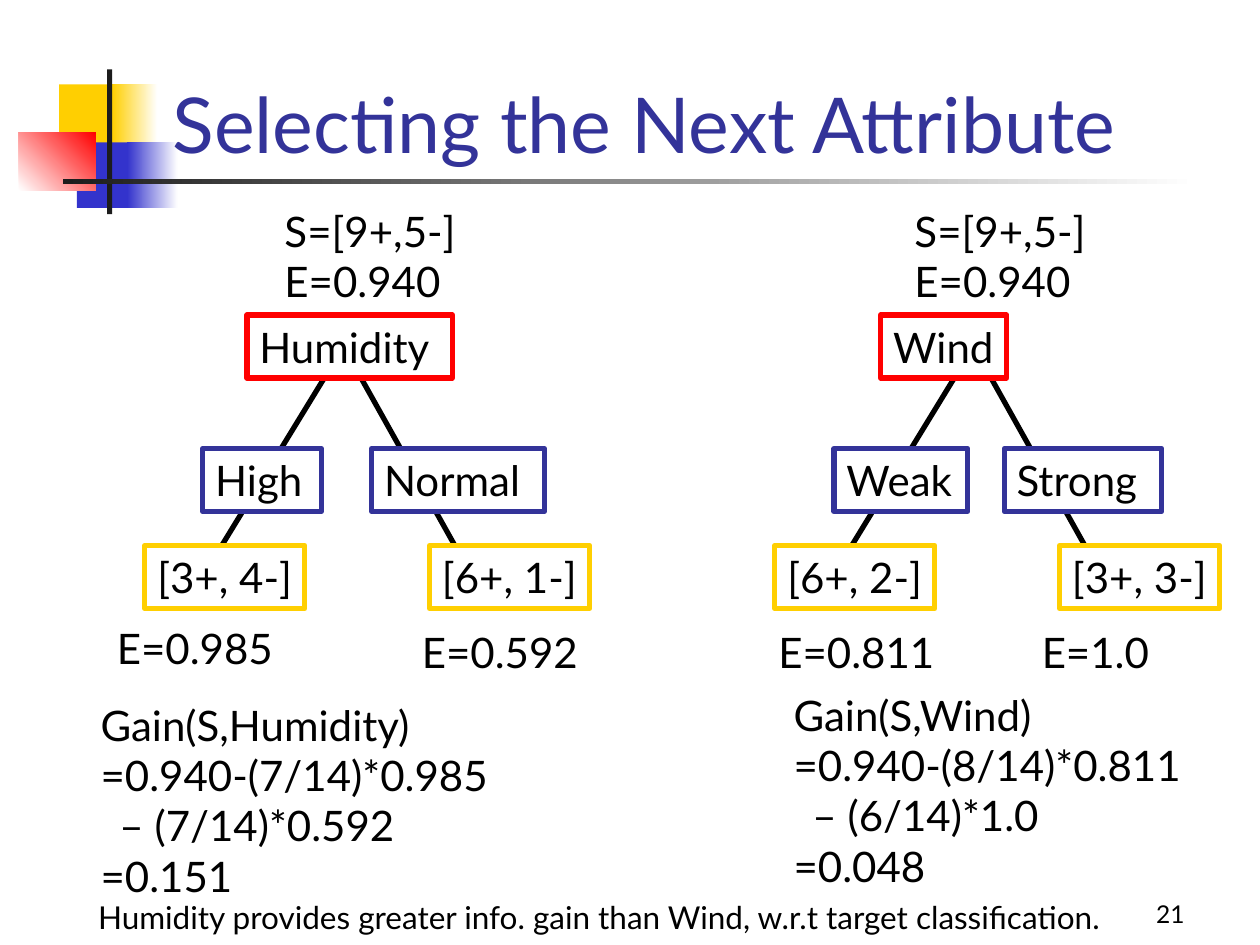
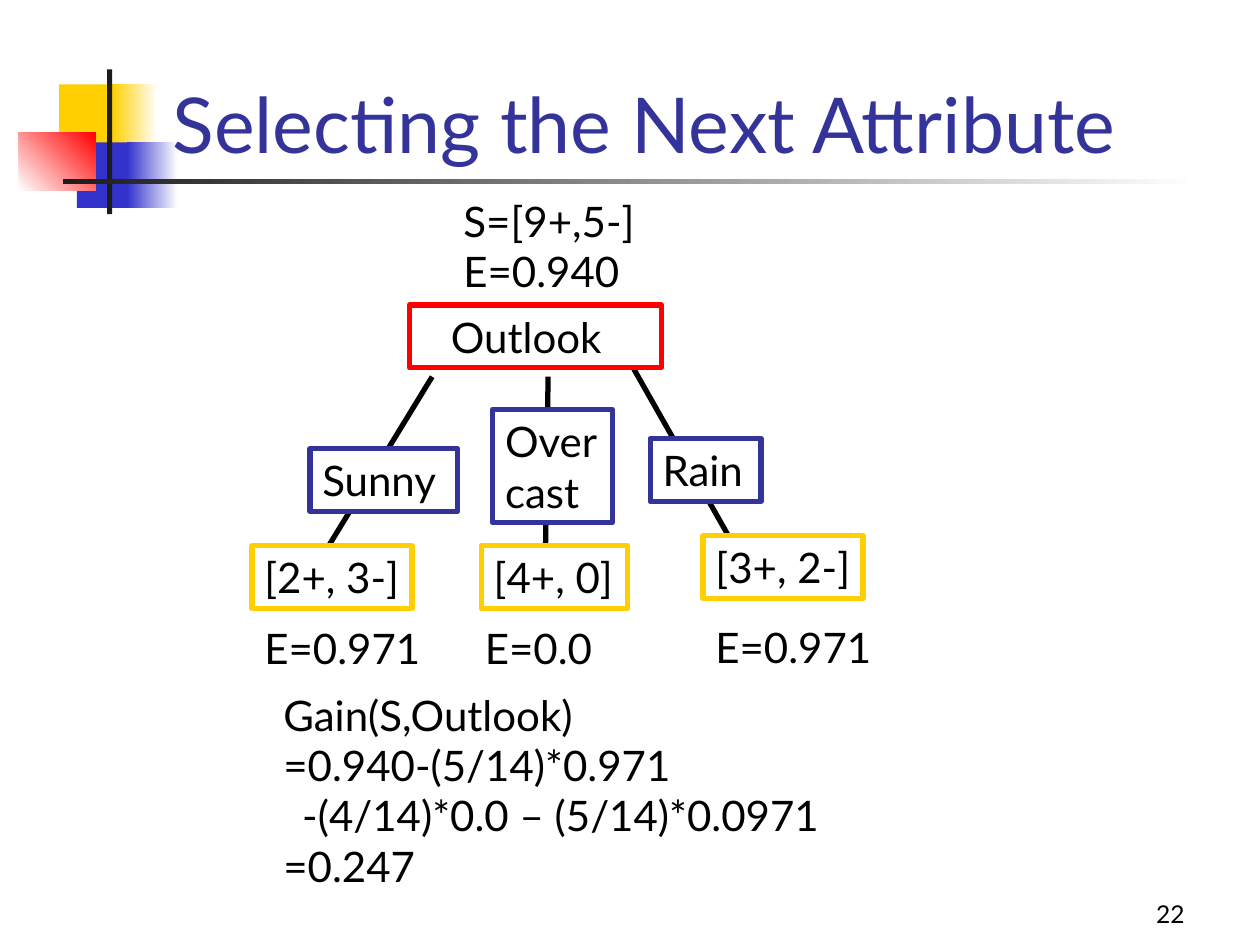
from dataclasses import dataclass

from lxml.etree import SubElement
from pptx import Presentation
from pptx.dml.color import RGBColor as Rgb
from pptx.enum.shapes import MSO_CONNECTOR as Connector, MSO_SHAPE as Shape
from pptx.enum.text import MSO_ANCHOR as Anchor, PP_ALIGN as Align
from pptx.oxml.ns import qn
from pptx.util import Inches, Pt


@dataclass(frozen=True)
class Theme:
    font: str = "Lato"
    title_size: int = 44
    body_size: int = 24
    note_size: int = 18
    number_size: int = 14
    outline: int = 3
    ink: str = "000000"
    paper: str = "FFFFFF"
    title: str = "333399"
    root: str = "FF0000"
    value: str = "333399"
    counts: str = "FFCF01"
    blue: str = "3333CC"
    bar: str = "1C1C1C"


@dataclass(frozen=True)
class Branch:
    start: float
    lean: float
    value: tuple
    value_left: float
    value_width: float
    counts: str
    counts_left: float
    entropy: str
    entropy_left: float
    entropy_top: float = 33.4
    tight: bool = False
    drop: float = 0
    value_top: float = 19.8
    value_height: float = 5
    counts_width: float = 12.7


THEME = Theme()
WIDTH, HEIGHT = Inches(10), Inches(7.5)
COLUMN, ROW = WIDTH / 100, HEIGHT / 75


def grid(left, top, width, height):
    return [round(n * unit) for n, unit in
            zip((left, top, width, height), (COLUMN, ROW, COLUMN, ROW))]


def color(name):
    return Rgb.from_string(name)


def write(shape, lines, size=THEME.body_size, ink=THEME.ink, align=Align.LEFT,
          anchor=Anchor.TOP, indents=None, spacing=None, right_inset=0):
    frame = shape.text_frame
    frame.word_wrap = True
    frame.vertical_anchor = anchor
    frame.margin_left = Inches(0.1)
    frame.margin_right = Inches(right_inset)
    frame.margin_top = frame.margin_bottom = Inches(0.05)
    for index, line in enumerate(lines):
        paragraph = frame.paragraphs[0] if index == 0 else frame.add_paragraph()
        paragraph.text = line
        paragraph.alignment = align
        paragraph.line_spacing = spacing
        paragraph.font.name = THEME.font
        paragraph.font.size = Pt(size)
        paragraph.font.color.rgb = color(ink)
        if indents and index in indents:
            margin = round(indents[index] * COLUMN)
            paragraph._p.get_or_add_pPr().set("marL", str(margin))


def add_text(slide, box, lines, **style):
    write(slide.shapes.add_textbox(*grid(*box)), lines, **style)


def add_block(slide, box):
    block = slide.shapes.add_shape(Shape.RECTANGLE, *grid(*box))
    block.shadow.inherit = False
    return block


def add_node(slide, box, lines, outline, indents=None):
    node = add_block(slide, box)
    node.fill.solid()
    node.fill.fore_color.rgb = color(THEME.paper)
    node.line.color.rgb = color(outline)
    node.line.width = Pt(THEME.outline)
    write(node, lines, indents=indents)


def add_edge(slide, left, top, width, height):
    x1, y1, x2, y2 = grid(left, top, left + width, top + height)
    edge = slide.shapes.add_connector(Connector.STRAIGHT, x1, y1, x2, y2)
    edge.line.color.rgb = color(THEME.ink)
    edge.line.width = Pt(THEME.outline)
    SubElement(edge._element.spPr, qn("a:effectLst"))


def add_emblem(slide):
    for box, colors, angle in (
        ((4.7, 6.7, 4.8, 5.2), (THEME.counts,), 0),
        ((8.9, 6.7, 3.6, 5.2), (THEME.counts, THEME.paper), 0),
        ((6.1, 11.3, 4.6, 5.2), (THEME.blue,), 0),
        ((10.1, 11.3, 4, 5.2), (THEME.blue, THEME.paper), 0),
        ((1.5, 10.5, 6.1, 4.6), (THEME.paper, THEME.root), 45),
        ((8.5, 5.5, 0.4, 11.5), (THEME.bar,), 0),
        ((5, 14.2, 90, 0.4), (THEME.bar, THEME.paper), 0),
    ):
        block = add_block(slide, box)
        block.line.fill.background()
        if len(colors) == 1:
            block.fill.solid()
            block.fill.fore_color.rgb = color(colors[0])
        else:
            block.fill.gradient()
            block.fill.gradient_angle = angle
            for stop, name in zip(block.fill.gradient_stops, colors):
                stop.color.rgb = color(name)


def add_page(deck, number):
    slide = deck.slides.add_slide(deck.slide_layouts[6])
    add_emblem(slide)
    add_text(slide, (74.2, 69.2, 20.8, 5), [str(number)], size=THEME.number_size,
             align=Align.RIGHT, anchor=Anchor.BOTTOM, right_inset=0.1)
    add_text(slide, (12.7, 1.4, 85.2, 12.5), ["Selecting the Next Attribute"],
             size=THEME.title_size, ink=THEME.title, anchor=Anchor.BOTTOM)
    return slide


def add_tree(slide, left, top, attribute, root_left, root_width, branches, root_indent=0):
    for branch in branches:
        add_edge(slide, left + branch.start, top + branch.drop + 14.1, branch.lean, 13.4)
    add_text(slide, (left + 21.6, top, 15.6, 9), ["S=[9+,5-]", "E=0.940"])
    add_node(slide, (left + root_left, top + 9.2, root_width, 5), [attribute],
             THEME.root, {0: root_indent} if root_indent else None)
    for branch in branches:
        level = top + branch.drop
        add_node(slide, (left + branch.value_left, level + branch.value_top,
                         branch.value_width, branch.value_height), branch.value, THEME.value)
        add_node(slide, (left + branch.counts_left, level + 27.5, branch.counts_width, 5),
                 [branch.counts], THEME.counts)
        add_text(slide, (left + branch.entropy_left, level + branch.entropy_top, 15,
                         3.8 if branch.tight else 5), [branch.entropy],
                 spacing=0.7 if branch.tight else None)


def add_gain(slide, left, top, width, attribute, first, rest, result):
    add_text(slide, (left, top, width, 17),
             [f"Gain(S,{attribute})", f"=0.940-{first}", rest, f"={result}"],
             indents={2: 1.5})


def add_humidity_and_wind(deck):
    slide = add_page(deck, 21)
    add_tree(slide, 0, 15.8, "Humidity", 19.6, 16.3, [
        Branch(25.8, -8.2, ("High",), 16.1, 9.4, "[3+, 4-]", 11.5,
               "E=0.985", 8.3, entropy_top=34.2, tight=True),
        Branch(28.6, 7.5, ("Normal",), 29.5, 13.7, "[6+, 1-]", 34.1, "E=0.592", 32.5),
    ])
    add_tree(slide, 50, 15.8, "Wind", 19.9, 10, [
        Branch(25.8, -8.2, ("Weak",), 16.2, 10.6, "[6+, 2-]", 11.5, "E=0.811", 10.8),
        Branch(28.6, 7.5, ("Strong",), 29.7, 12.5, "[3+, 3-]", 34.1, "E=1.0", 31.7),
    ])
    add_gain(slide, 7, 55, 33.7, "Humidity", "(7/14)*0.985", "– (7/14)*0.592", "0.151")
    add_gain(slide, 62, 54.2, 33.7, "Wind", "(8/14)*0.811", "– (6/14)*1.0", "0.048")
    add_text(slide, (6.8, 70.8, 88, 4),
             ["Humidity provides greater info. gain than Wind, w.r.t target classification."],
             size=THEME.note_size)


def add_outlook(deck):
    slide = add_page(deck, 22)
    add_tree(slide, 14.2, 15, "Outlook", 18.3, 20, [
        Branch(20.1, -8.2, ("Sunny",), 10.4, 11.7, "[2+, 3-]", 5.8,
               "E=0.971", 5.8, entropy_top=34.2, tight=True, drop=0.8),
        Branch(29.3, -0.2, ("Over", "cast"), 24.9, 9.5, "[4+, 0]", 24,
               "E=0.0", 23.3, entropy_top=34.2, tight=True, drop=0.8,
               value_top=16.7, value_height=9, counts_width=11.6),
        Branch(36, 7.6, ("Rain",), 37.4, 8.8, "[3+, 2-]", 41.6,
               "E=0.971", 41.6, entropy_top=33.8),
    ], root_indent=2.3)
    add_gain(slide, 21.5, 54.2, 44.9, "Outlook", "(5/14)*0.971",
             "-(4/14)*0.0 – (5/14)*0.0971", "0.247")


def main():
    deck = Presentation()
    deck.slide_width, deck.slide_height = WIDTH, HEIGHT
    add_humidity_and_wind(deck)
    add_outlook(deck)
    deck.save("out.pptx")


if __name__ == "__main__":
    main()
